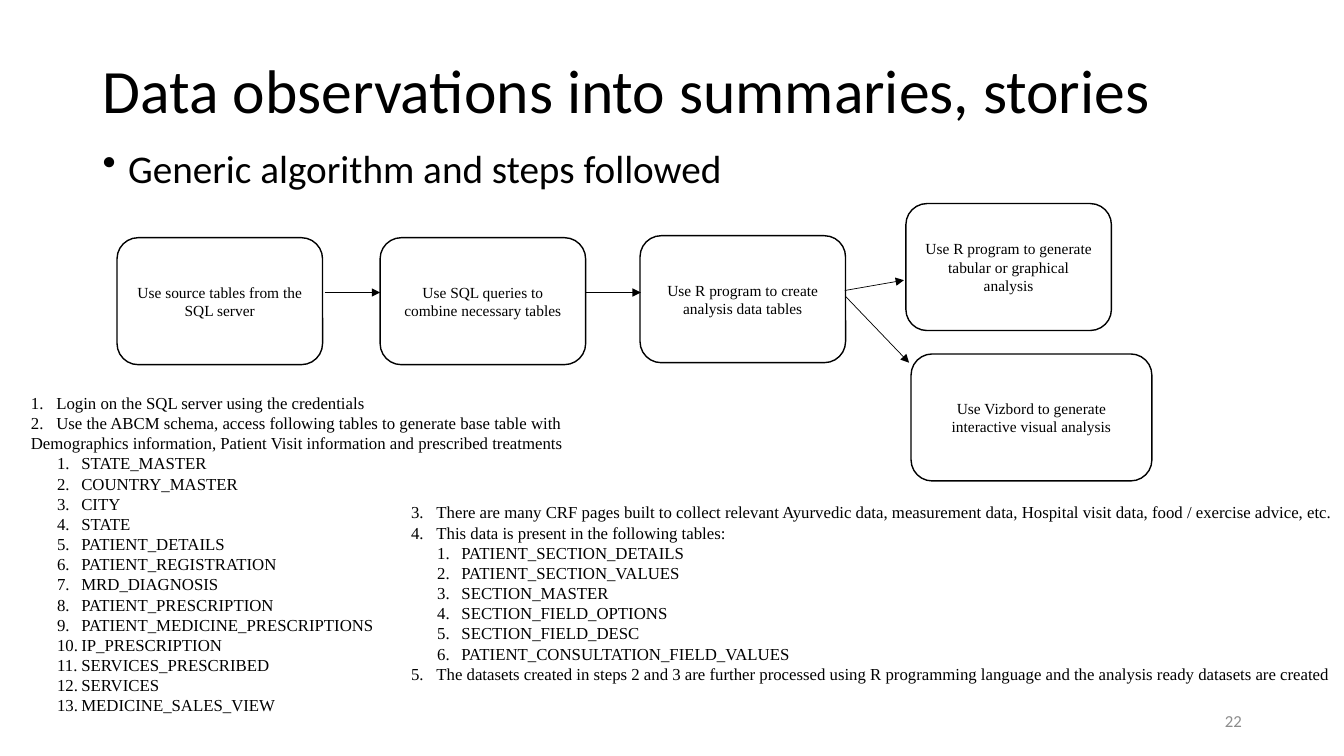
from lxml import etree
from pptx import Presentation
from pptx import util as u
from pptx.dml.color import RGBColor
from pptx.enum import shapes, text
from pptx.oxml.ns import qn

SERIF = "Times New Roman"
BLACK, WHITE, GREY = "000000", "FFFFFF", "8C8C8C"
TITLE = "Data observations into summaries, stories"
SUBTITLE = "Generic algorithm and steps followed"
PAGE = "22"

STEP_SIZE = (5.18, 3.2)
STEPS = [
    ("Use source tables from the SQL server", 2.95, 5.99, 5.18),
    ("Use SQL queries to combine necessary tables", 9.58, 5.99, 5.18),
    ("Use R program to create analysis data tables", 16.13, 5.94, 5.18),
    ("Use R program to generate tabular or graphical analysis", 22.83, 5.13, 5.18),
    ("Use Vizbord to generate interactive visual analysis", 22.96, 8.92, 6.07),
]
STEP_HEIGHT = 3.2
ARROWS = [
    (8.18, 7.37, 9.58, 7.37),
    (14.76, 7.37, 16.15, 7.37),
    (21.29, 7.32, 22.78, 7.06),
    (21.31, 7.47, 22.91, 9.14),
]

ACCESS = [
    (1, "Login on the SQL server using the credentials"),
    (2, "Use the ABCM schema, access following tables to generate base table with"),
    (None, "Demographics information, Patient Visit information and prescribed treatments"),
    ("sub", "STATE_MASTER"),
    ("sub", "COUNTRY_MASTER"),
    ("sub", "CITY"),
    ("sub", "STATE"),
    ("sub", "PATIENT_DETAILS"),
    ("sub", "PATIENT_REGISTRATION"),
    ("sub", "MRD_DIAGNOSIS"),
    ("sub", "PATIENT_PRESCRIPTION"),
    ("sub", "PATIENT_MEDICINE_PRESCRIPTIONS"),
    ("sub", "IP_PRESCRIPTION"),
    ("sub", "SERVICES_PRESCRIBED"),
    ("sub", "SERVICES"),
    ("sub", "MEDICINE_SALES_VIEW"),
]
PROCESS = [
    (3, "There are many CRF pages built to collect relevant Ayurvedic data, measurement data, "
        "Hospital visit data, food / exercise advice, etc."),
    (4, "This data is present in the following tables:"),
    ("sub", "PATIENT_SECTION_DETAILS"),
    ("sub", "PATIENT_SECTION_VALUES"),
    ("sub", "SECTION_MASTER"),
    ("sub", "SECTION_FIELD_OPTIONS"),
    ("sub", "SECTION_FIELD_DESC"),
    ("sub", "PATIENT_CONSULTATION_FIELD_VALUES"),
    (5, "The datasets created in steps 2 and 3 are further processed using R programming "
        "language and the analysis ready datasets are created"),
]
LISTS = [
    (ACCESS, (0.53, 9.73, 14.1, 8.46)),
    (PROCESS, (10.11, 12.5, 24.16, 4.88)),
]


def color(code):
    return RGBColor.from_string(code)


def write(paragraph, words, size=12, font=SERIF, ink=BLACK, align="LEFT",
          spacing=None, before=None, after=None):
    run = paragraph.add_run()
    run.text = words
    run.font.size = u.Pt(size)
    run.font.name = font
    run.font.color.rgb = color(ink)
    paragraph.alignment = getattr(text.PP_ALIGN, align)
    if spacing:
        paragraph.line_spacing = spacing
    if before:
        paragraph.space_before = u.Pt(before)
    if after:
        paragraph.space_after = u.Pt(after)


def mark(paragraph, margin, hanging, tag, **attributes):
    props = paragraph._p.get_or_add_pPr()
    props.set("marL", str(u.Cm(margin)))
    props.set("indent", str(-u.Cm(hanging)))
    bullet = etree.SubElement(props, qn(tag))
    for key, value in attributes.items():
        bullet.set(key, str(value))


def frame(slide, place, anchor="TOP", wrap=True):
    body = slide.shapes.add_textbox(*map(u.Cm, place)).text_frame
    body.word_wrap = wrap
    body.vertical_anchor = getattr(text.MSO_ANCHOR, anchor)
    return body


def add_step(slide, words, left, top, width):
    step = slide.shapes.add_shape(shapes.MSO_SHAPE.ROUNDED_RECTANGLE,
                                  *map(u.Cm, (left, top, width, STEP_HEIGHT)))
    step.shadow.inherit = False
    step.fill.solid()
    step.fill.fore_color.rgb = color(WHITE)
    step.line.color.rgb = color(BLACK)
    step.line.width = u.Pt(1)
    step.text_frame.word_wrap = True
    step.text_frame.vertical_anchor = text.MSO_ANCHOR.MIDDLE
    write(step.text_frame.paragraphs[0], words, size=11, align="CENTER", after=10)


def add_arrow(slide, ends):
    arrow = slide.shapes.add_connector(shapes.MSO_CONNECTOR.STRAIGHT, *map(u.Cm, ends))
    arrow.line.color.rgb = color(BLACK)
    arrow.line.width = u.Pt(0.5)
    etree.SubElement(arrow.line._get_or_add_ln(), qn("a:tailEnd")).set("type", "triangle")
    etree.SubElement(arrow._element.spPr, qn("a:effectLst"))


def add_list(slide, items, place):
    body = frame(slide, place, anchor="MIDDLE", wrap=False)
    body.auto_size = text.MSO_AUTO_SIZE.SHAPE_TO_FIT_TEXT
    for index, (number, words) in enumerate(items):
        item = body.add_paragraph() if index else body.paragraphs[0]
        write(item, words, align="JUSTIFY")
        if number == "sub":
            item.level = 1
            mark(item, 1.27, 0.61, "a:buAutoNum", type="arabicPeriod")
        elif number:
            mark(item, 0.64, 0.64, "a:buAutoNum", type="arabicPeriod", startAt=number)


def main():
    deck = Presentation()
    deck.slide_width, deck.slide_height = u.Cm(33.87), u.Cm(19.05)
    slide = deck.slides.add_slide(deck.slide_layouts[6])

    title = frame(slide, (2.34, 1.02, 29.21, 2.69), anchor="MIDDLE")
    write(title.paragraphs[0], TITLE, size=44, font="Calibri", spacing=0.9)
    subtitle = frame(slide, (2.34, 3.73, 18.36, 1.32)).paragraphs[0]
    write(subtitle, SUBTITLE, size=28, font="Calibri", spacing=0.8, before=10)
    mark(subtitle, 0.64, 0.64, "a:buChar", char="•")
    page = frame(slide, (23.93, 17.65, 7.62, 1.02), anchor="MIDDLE")
    write(page.paragraphs[0], PAGE, font="Calibri", ink=GREY, align="RIGHT")

    for step in STEPS:
        add_step(slide, *step)
    for ends in ARROWS:
        add_arrow(slide, ends)
    for items, place in LISTS:
        add_list(slide, items, place)
    deck.save("out.pptx")


if __name__ == "__main__":
    main()
